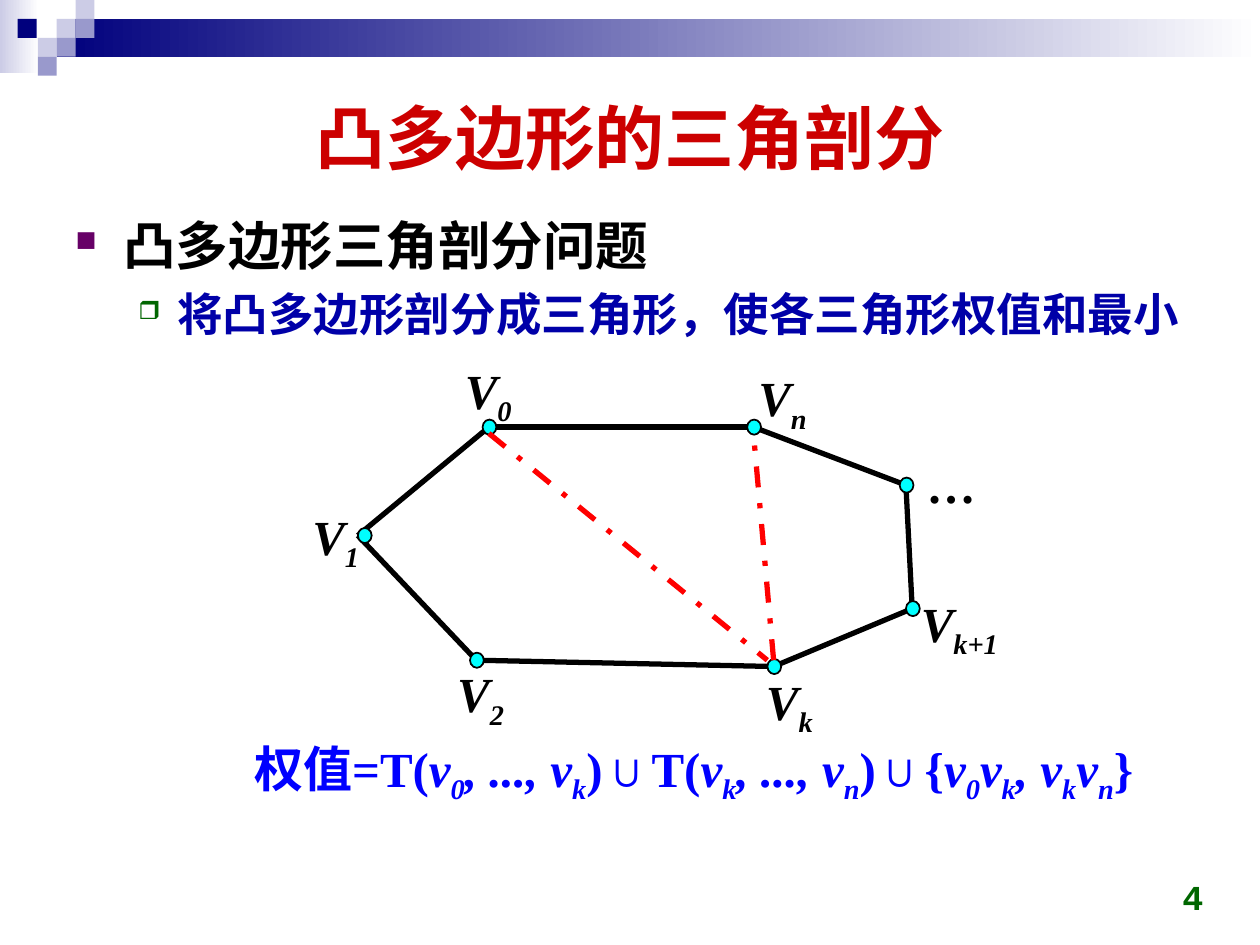
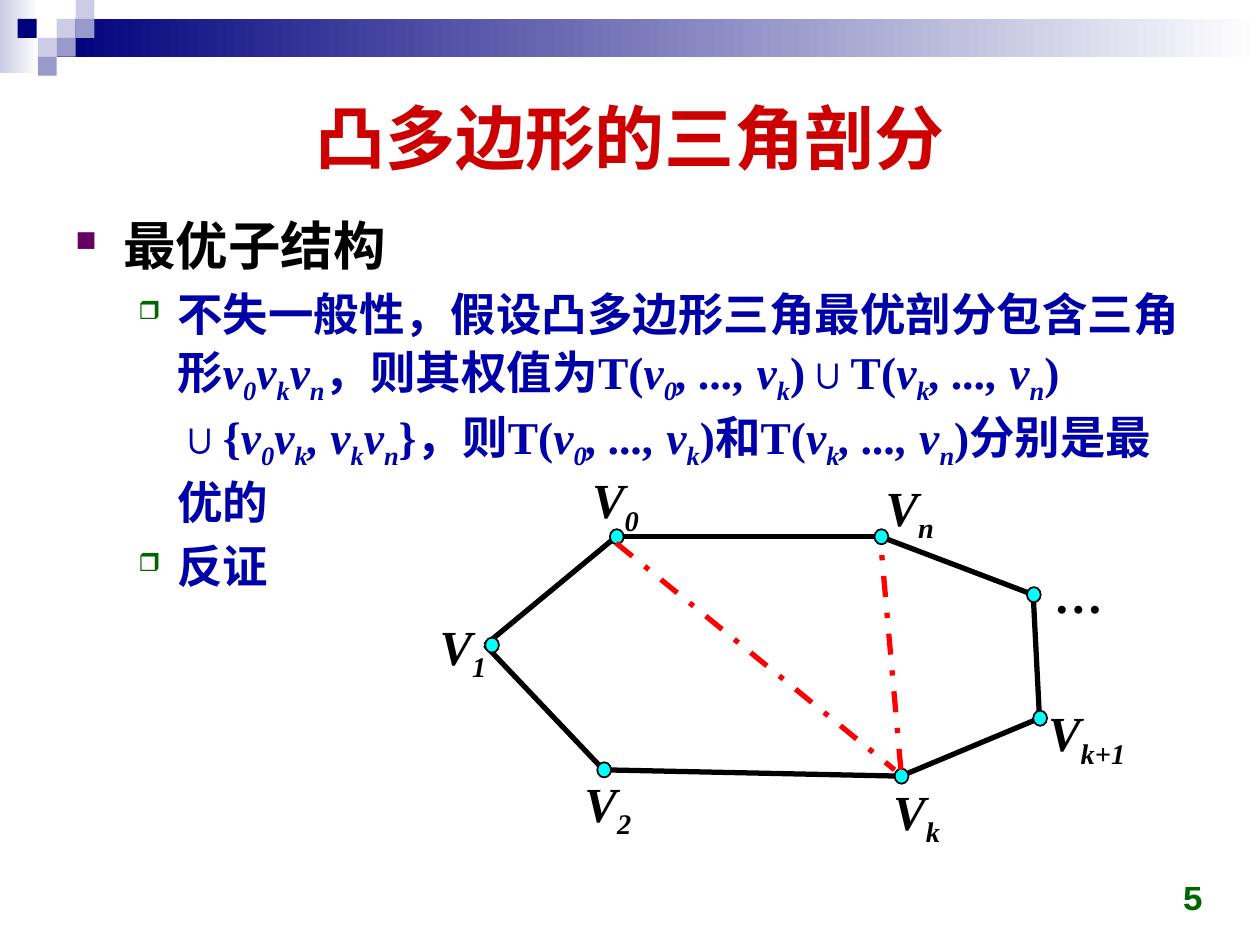
from itertools import pairwise

from pptx import Presentation
from pptx.dml.color import RGBColor as RGB
from pptx.enum.dml import MSO_LINE as DASH
from pptx.enum.shapes import MSO_CONNECTOR as CONN, MSO_SHAPE as SHAPE
from pptx.enum.text import MSO_ANCHOR as ANCHOR, PP_ALIGN as ALIGN
from pptx.oxml.ns import qn
from pptx.util import Pt
from lxml.etree import SubElement

EMU_PER_PX = 9144

BLACK = RGB(0x00, 0x00, 0x00)
WHITE = RGB(0xFF, 0xFF, 0xFF)
NAVY = RGB(0x00, 0x00, 0x7D)
LAVENDER = RGB(0xCC, 0xCC, 0xE6)
PERIWINKLE = RGB(0x99, 0x99, 0xCC)
TITLE_RED = RGB(0xCC, 0x00, 0x00)
ITEM_BLUE = RGB(0x00, 0x00, 0xA8)
FORMULA_BLUE = RGB(0x00, 0x00, 0xFF)
PURPLE = RGB(0x66, 0x00, 0x66)
GREEN = RGB(0x00, 0x66, 0x00)
CYAN = RGB(0x00, 0xFF, 0xFF)
CHORD_RED = RGB(0xFF, 0x00, 0x00)

SANS, SERIF, MONO = "Arial", "Times New Roman", "Courier New"

TITLE = {"name": SANS, "size": Pt(40), "bold": True, "color": TITLE_RED}
HEADING = {"name": SANS, "size": Pt(30), "bold": True, "color": BLACK}
ITEM = {"name": SERIF, "size": Pt(26), "bold": True, "color": ITEM_BLUE}
FORMULA = {"name": SERIF, "size": Pt(28), "bold": True, "color": FORMULA_BLUE}
LABEL = {"name": SERIF, "size": Pt(28), "bold": True, "color": BLACK}
NUMBER = {"name": MONO, "size": Pt(20), "bold": True, "color": GREEN}

HEADING_BULLET = {"char": "■", "color": PURPLE, "margin": 38, "hang": 38}
ITEM_BULLET = {"char": "❒", "color": GREEN, "margin": 81, "hang": 31}

SQUARES = [
    (45, 15, LAVENDER), (60, 0, LAVENDER), (60, 15, PERIWINKLE),
    (30, 30, LAVENDER), (14, 15, NAVY), (45, 30, PERIWINKLE),
    (30, 45, PERIWINKLE),
]

FIRST = "T(~v_0_, ..., v_k_~)"
SECOND = "T(~v_k_, ..., v_n_~)"
CHORDS = "{~v_0_v_k_, v_k_v_n_~}"

VERTICES = [(388, 339), (598, 339), (719, 385), (724, 483),
            (614, 529), (378, 524), (284, 425)]
DOT_CENTERS = VERTICES[:-1] + [(289, 425)]
DIAGONALS = [((388, 344), (609, 524)), ((614, 524), (598, 344))]
LABELS = [
    ("~V_0_~", 359, 281, 59), ("~V_1_~", 238, 397, 59),
    ("~V_2_~", 353, 522, 59), ("~V_k_~", 598, 528, 59),
    ("~V_k+1_~", 721, 466, 87), ("~…~", 727, 356, 59),
    ("~V_n_~", 592, 287, 61),
]


def px(n):
    return n * EMU_PER_PX


def box(*lengths):
    return [px(n) for n in lengths]


def apply(obj, values):
    for key, value in values.items():
        setattr(obj, key, value)


def add_runs(p, text, style):
    font = {k: v for k, v in style.items() if k != "color"}
    for i, piece in enumerate(text.split("~")):
        for j, part in enumerate(piece.split("_")):
            if not part:
                continue
            r = p.add_run()
            r.text = part
            apply(r.font, {**font, "italic": i % 2 == 1})
            r.font.color.rgb = style["color"]
            if j % 2:
                r.font._element.set("baseline", "-25000")


def set_bullet(p, char, color, margin, hang):
    pPr = p._p.get_or_add_pPr()
    pPr.set("marL", str(px(margin)))
    pPr.set("indent", str(-px(hang)))
    clr = SubElement(pPr, qn("a:buClr"))
    SubElement(clr, qn("a:srgbClr"), val=str(color))
    SubElement(pPr, qn("a:buSzPct"), val="55000")
    SubElement(pPr, qn("a:buChar"), char=char)


def add_text(shapes, at, text, style, align=ALIGN.LEFT, anchor=ANCHOR.TOP, wrap=True):
    tf = shapes.add_textbox(*box(*at)).text_frame
    apply(tf, {"word_wrap": wrap, "vertical_anchor": anchor})
    p = tf.paragraphs[0]
    p.alignment = align
    add_runs(p, text, style)
    return p


def add_shape(shapes, kind, at, fill, line=None):
    sp = shapes.add_shape(kind, *box(*at))
    sp.shadow.inherit = False
    if isinstance(fill, list):
        sp.fill.gradient()
        sp.fill.gradient_angle = 0
        for stop, color, position in zip(sp.fill.gradient_stops, fill, (0, 1)):
            stop.color.rgb = color
            stop.position = position
    else:
        sp.fill.solid()
        sp.fill.fore_color.rgb = fill
    if line is None:
        sp.line.fill.background()
    else:
        sp.line.color.rgb = line
        sp.line.width = Pt(1)


def add_line(shapes, start, end, color, dash=None):
    cx = shapes.add_connector(CONN.STRAIGHT, *box(*start, *end))
    cx.line.color.rgb = color
    apply(cx.line, {"width": Pt(3), "dash_style": dash})
    SubElement(cx._element.spPr, qn("a:effectLst"))


def add_band(slide):
    shapes = slide.shapes.add_group_shape().shapes
    add_shape(shapes, SHAPE.RECTANGLE, (0, 0, 31, 58), [LAVENDER, WHITE])
    add_shape(shapes, SHAPE.RECTANGLE, (45, 15, 955, 30), [NAVY, WHITE])
    for x, y, color in SQUARES:
        add_shape(shapes, SHAPE.RECTANGLE, (x, y, 15, 15), color)


def add_body(slide, heading, items):
    tf = slide.shapes.add_textbox(*box(50, 162, 900, 520)).text_frame
    tf.word_wrap = True
    rows = [(heading, HEADING, HEADING_BULLET)]
    rows += [(item, ITEM, ITEM_BULLET) for item in items]
    for i, (text, style, bullet) in enumerate(rows):
        p = tf.add_paragraph() if i else tf.paragraphs[0]
        apply(p, {"line_spacing": 1.05, "space_before": Pt(0.15 * style["size"].pt)})
        set_bullet(p, **bullet)
        add_runs(p, text, style)


def add_polygon(slide, dx=0, dy=0):
    def move(point):
        return point[0] + dx, point[1] + dy

    shapes = slide.shapes.add_group_shape().shapes
    for start, end in pairwise(VERTICES + VERTICES[:1]):
        add_line(shapes, move(start), move(end), BLACK)
    for text, x, y, width in LABELS:
        add_text(shapes, (*move((x, y)), width, 57), text, LABEL, wrap=False)
    for x, y in map(move, DOT_CENTERS):
        add_shape(shapes, SHAPE.OVAL, (x - 5, y - 6, 11, 12), CYAN, BLACK)
    for start, end in DIAGONALS:
        add_line(shapes, move(start), move(end), CHORD_RED, DASH.DASH_DOT)


def add_formula(slide, text):
    p = add_text(slide.shapes, (142, 582, 780, 53), text, FORMULA)
    apply(p, {"line_spacing": 0.9, "space_before": Pt(5.6)})
    p._p.get_or_add_pPr().set("marL", str(px(50)))


def add_slide(prs, number, heading, items):
    s = prs.slides.add_slide(prs.slide_layouts[6])
    add_band(s)
    add_text(s.shapes, (50, 50, 900, 116), "凸多边形的三角剖分", TITLE,
             ALIGN.CENTER, ANCHOR.MIDDLE)
    add_body(s, heading, items)
    add_text(s.shapes, (732, 683, 233, 50), str(number), NUMBER,
             ALIGN.RIGHT, ANCHOR.BOTTOM)
    return s


def main():
    prs = Presentation()
    apply(prs, {"slide_width": px(1000), "slide_height": px(750)})

    s = add_slide(prs, 4, "凸多边形三角剖分问题",
                  ["将凸多边形剖分成三角形，使各三角形权值和最小"])
    add_polygon(s)
    add_formula(s, f"权值={FIRST}∪{SECOND}∪{CHORDS}")

    s = add_slide(prs, 5, "最优子结构", [
        "不失一般性，假设凸多边形三角最优剖分包含三角形~v_0_v_k_v_n_~"
        f"，则其权值为{FIRST}∪{SECOND} ∪{CHORDS}"
        f"，则{FIRST}和{SECOND}分别是最优的",
        "反证",
    ])
    add_polygon(s, 101, 87)

    prs.save("out.pptx")


if __name__ == "__main__":
    main()
